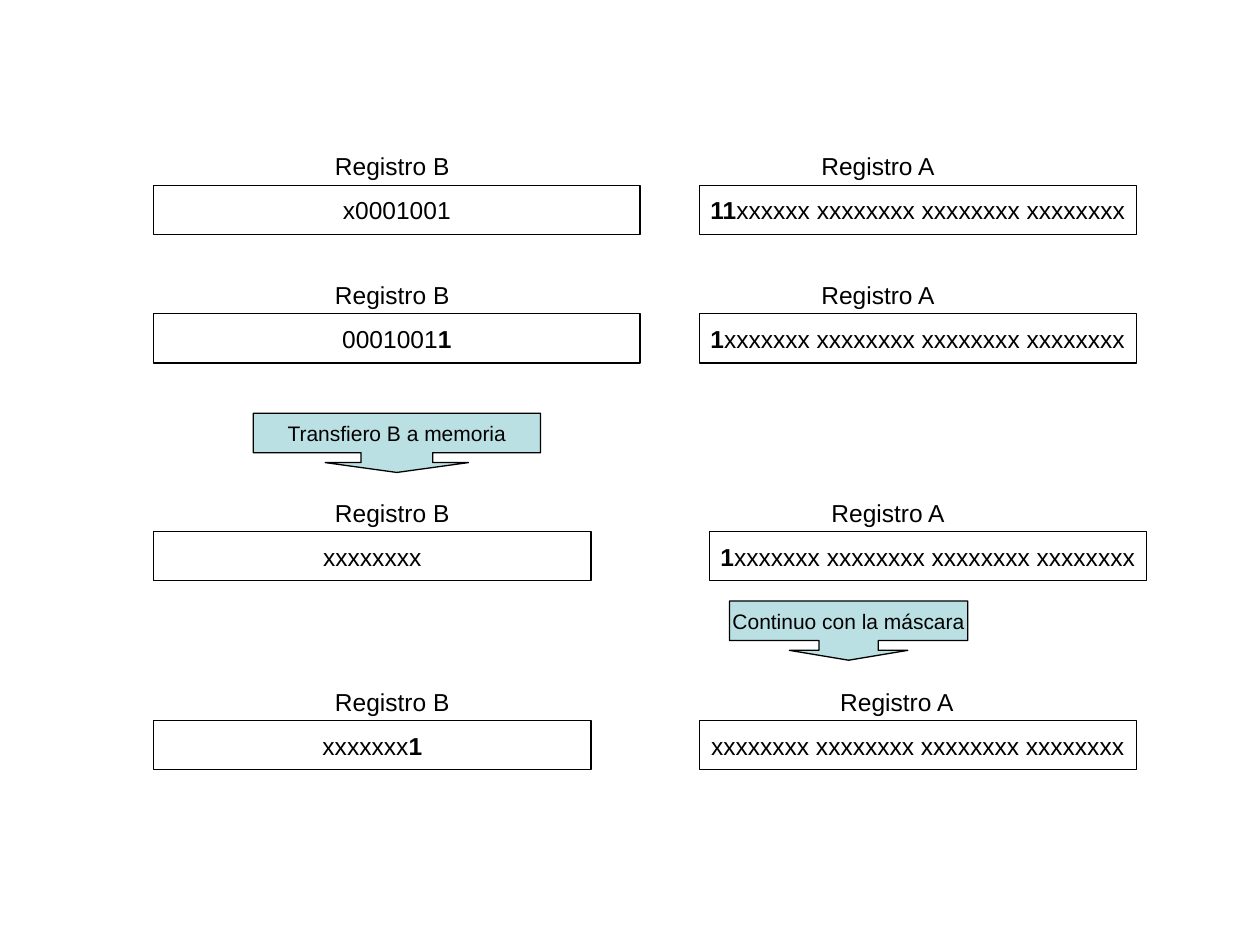
from dataclasses import dataclass

import pptx
import pptx.dml.color
import pptx.enum.shapes
import pptx.enum.text
import pptx.util
from pptx.util import Inches


@dataclass(frozen=True)
class Theme:
    font: str = "Arial"
    ink: pptx.dml.color.RGBColor = pptx.dml.color.RGBColor(0x00, 0x00, 0x00)
    callout_fill: pptx.dml.color.RGBColor = pptx.dml.color.RGBColor(0xBB, 0xE0, 0xE3)
    register_size: pptx.util.Pt = pptx.util.Pt(14)
    callout_size: pptx.util.Pt = pptx.util.Pt(12)
    line_width: pptx.util.Pt = pptx.util.Pt(0.75)


@dataclass(frozen=True)
class Piece:
    text: str
    bold: bool = False


@dataclass(frozen=True)
class Register:
    name: str
    left: float
    top: float
    width: float
    label_left: float
    bits: tuple[Piece, ...]


@dataclass(frozen=True)
class Callout:
    text: str
    left: float
    top: float
    width: float
    arrow: float


THEME = Theme()
REGISTER_HEIGHT = 0.39
LABEL_RISE = 0.32
LABEL_WIDTH, LABEL_HEIGHT = 1.11, 0.34
CALLOUT_HEIGHT = 0.47
B_LEFT, B_LABEL_LEFT, B_WIDE = 1.22, 2.56, 3.86
A_LEFT, A_LABEL_LEFT = 5.55, 6.42
NARROW = 3.47
ROW_TOPS = (1.47, 2.49, 4.22, 5.72)
BYTE = "x" * 8
THREE_BYTES = f" {BYTE}" * 3
ONE = Piece("1", bold=True)
SHIFTED_A = (ONE, Piece("x" * 7 + THREE_BYTES))

B_ROWS = (
    (B_WIDE, (Piece("x0001001"),)),
    (B_WIDE, (Piece("0001001"), ONE)),
    (NARROW, (Piece(BYTE),)),
    (NARROW, (Piece("x" * 7), ONE)),
)
A_ROWS = (
    (A_LEFT, A_LABEL_LEFT, (Piece("11", bold=True), Piece("x" * 6 + THREE_BYTES))),
    (A_LEFT, A_LABEL_LEFT, SHIFTED_A),
    (5.63, 6.5, SHIFTED_A),
    (A_LEFT, 6.57, (Piece(BYTE + THREE_BYTES),)),
)
REGISTERS = [
    Register("Registro B", B_LEFT, top, width, B_LABEL_LEFT, bits)
    for top, (width, bits) in zip(ROW_TOPS, B_ROWS)
] + [
    Register("Registro A", left, top, NARROW, label_left, bits)
    for top, (left, label_left, bits) in zip(ROW_TOPS, A_ROWS)
]
CALLOUTS = (
    Callout("Transfiero B a memoria", 2.01, 3.28, 2.28, 1.21),
    Callout("Continuo con la máscara", 5.79, 4.77, 1.89, 1.0),
)


def write(shape, pieces: tuple[Piece, ...], size: pptx.util.Pt, align) -> None:
    frame = shape.text_frame
    frame.word_wrap = False
    para = frame.paragraphs[0]
    para.alignment = align
    for piece in pieces:
        run = para.add_run()
        run.text = piece.text
        run.font.name = THEME.font
        run.font.size = size
        run.font.bold = piece.bold
        run.font.color.rgb = THEME.ink


def add_outlined(page, kind, left: float, top: float, width: float, height: float):
    """Add a shape with the thin dark outline and vertically centred text."""
    shape = page.shapes.add_shape(
        kind, Inches(left), Inches(top), Inches(width), Inches(height))
    shape.shadow.inherit = False
    shape.line.color.rgb = THEME.ink
    shape.line.width = THEME.line_width
    shape.text_frame.vertical_anchor = pptx.enum.text.MSO_ANCHOR.MIDDLE
    return shape


def draw_register(page, register: Register) -> None:
    box = add_outlined(page, pptx.enum.shapes.MSO_SHAPE.RECTANGLE, register.left,
                       register.top, register.width, REGISTER_HEIGHT)
    box.fill.background()
    write(box, register.bits, THEME.register_size, pptx.enum.text.PP_ALIGN.CENTER)
    label = page.shapes.add_textbox(
        Inches(register.label_left), Inches(register.top - LABEL_RISE),
        Inches(LABEL_WIDTH), Inches(LABEL_HEIGHT))
    label.text_frame.auto_size = pptx.enum.text.MSO_AUTO_SIZE.SHAPE_TO_FIT_TEXT
    write(label, (Piece(register.name),), THEME.register_size,
          pptx.enum.text.PP_ALIGN.LEFT)


def draw_callout(page, callout: Callout) -> None:
    shape = add_outlined(page, pptx.enum.shapes.MSO_SHAPE.DOWN_ARROW_CALLOUT,
                         callout.left, callout.top, callout.width, CALLOUT_HEIGHT)
    for index, value in enumerate((callout.arrow, callout.arrow, 1 / 6, 2 / 3)):
        shape.adjustments[index] = value
    shape.fill.solid()
    shape.fill.fore_color.rgb = THEME.callout_fill
    write(shape, (Piece(callout.text),), THEME.callout_size,
          pptx.enum.text.PP_ALIGN.CENTER)


def main() -> None:
    deck = pptx.Presentation()
    deck.slide_width, deck.slide_height = Inches(10), Inches(7.5)
    page = deck.slides.add_slide(deck.slide_layouts[6])
    for register in REGISTERS:
        draw_register(page, register)
    for callout in CALLOUTS:
        draw_callout(page, callout)
    deck.save("out.pptx")


if __name__ == "__main__":
    main()
